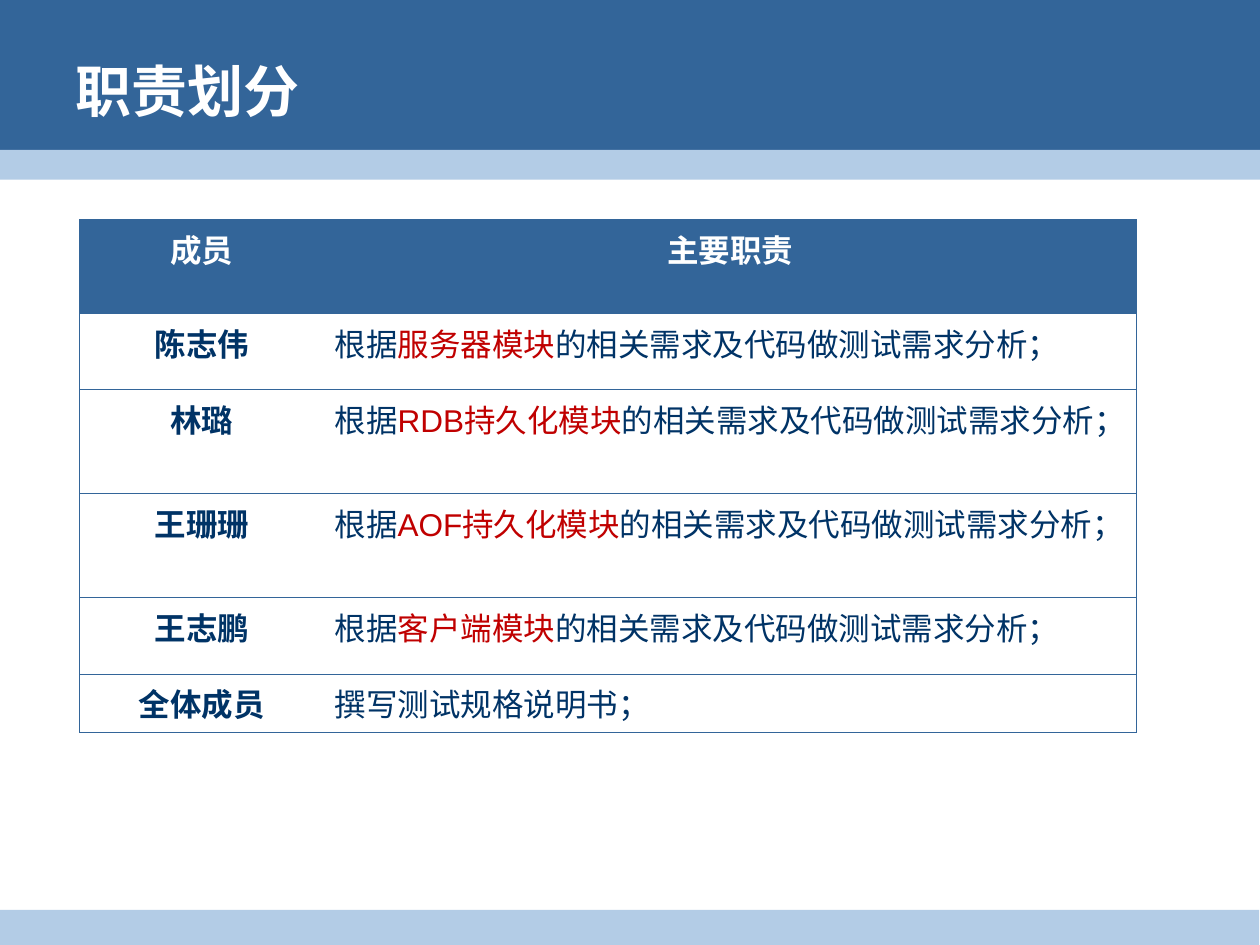
"""Build the slide that shows how duties are divided among the team members."""
import pptx
import pptx.dml.color
import pptx.enum.shapes
import pptx.enum.text
import pptx.oxml
import pptx.oxml.ns
import pptx.util

Pt = pptx.util.Pt
ALIGN = pptx.enum.text.PP_ALIGN
ANCHOR = pptx.enum.text.MSO_ANCHOR
COLOURS = {
    "banner": "336599",
    "stripe": "B3CCE6",
    "ink": "003366",
    "accent": "C00000",
    "white": "FFFFFF",
}
BARS = [
    (0, 0, 720, 94.5, "banner"),
    (0, 85.7, 720, 17, "stripe"),
    (0, 520, 719.5, 21.5, "stripe"),
]
COLUMN_WIDTHS = [139.8, 464.2]
ROW_HEIGHTS = [53.6, 43.7, 59.4, 59.4, 43.7, 33.2]
MODULES = [
    ("陈志伟", "服务器模块"),
    ("林璐", "RDB持久化模块"),
    ("王珊珊", "AOF持久化模块"),
    ("王志鹏", "客户端模块"),
]


def rgb(name):
    return pptx.dml.color.RGBColor.from_string(COLOURS[name])


def add_bar(page, left, top, width, height, colour):
    bar = page.shapes.add_shape(
        pptx.enum.shapes.MSO_SHAPE.RECTANGLE, Pt(left), Pt(top), Pt(width), Pt(height)
    )
    bar.shadow.inherit = False
    bar.fill.solid()
    bar.fill.fore_color.rgb = rgb(colour)
    bar.line.fill.background()


def add_span(para, text, size=18, colour="ink", bold=False):
    span = para.add_run()
    span.text = text
    span.font.name = "Arial"
    span.font.size = Pt(size)
    span.font.bold = bold
    span.font.color.rgb = rgb(colour)


def place_title(page, text):
    box = page.shapes.title
    box.element.getparent().append(box.element)
    box.left, box.top, box.width, box.height = Pt(36), Pt(12), Pt(648), Pt(79.2)
    box.text_frame.vertical_anchor = ANCHOR.MIDDLE
    para = box.text_frame.paragraphs[0]
    para.alignment = ALIGN.LEFT
    add_span(para, text, size=32, colour="white", bold=True)


def set_borders(cell, drawn):
    properties = cell._tc.get_or_add_tcPr()
    for side in "LRTB":
        if side in drawn:
            paint = f'<a:solidFill><a:srgbClr val="{COLOURS["banner"]}"/></a:solidFill>'
        else:
            paint = "<a:noFill/>"
        properties.append(pptx.oxml.parse_xml(
            f'<a:ln{side} {pptx.oxml.ns.nsdecls("a")} w="{Pt(0.23)}">{paint}</a:ln{side}>'
        ))


def keep_punctuation_inside(para):
    para._p.get_or_add_pPr().set("hangingPunct", "0")


def fill_cell(cell, spans, alignment, borders, header=False):
    cell.margin_left = cell.margin_right = Pt(6)
    cell.margin_top = cell.margin_bottom = Pt(3.6)
    cell.vertical_anchor = ANCHOR.TOP
    set_borders(cell, borders)
    if header:
        cell.fill.solid()
        cell.fill.fore_color.rgb = rgb("banner")
    else:
        cell.fill.background()
    para = cell.text_frame.paragraphs[0]
    para.alignment = alignment
    keep_punctuation_inside(para)
    for text, style in spans:
        add_span(para, text, **style)


def add_duty_table(page):
    frame = page.shapes.add_table(
        len(ROW_HEIGHTS), len(COLUMN_WIDTHS), Pt(45.4), Pt(125.4),
        Pt(sum(COLUMN_WIDTHS)), Pt(sum(ROW_HEIGHTS)),
    )
    table = frame.table
    table.first_row = table.horz_banding = False
    for column, width in zip(table.columns, COLUMN_WIDTHS):
        column.width = Pt(width)
    for row, height in zip(table.rows, ROW_HEIGHTS):
        row.height = Pt(height)

    heading = {"colour": "white", "bold": True}
    for column, (text, borders) in enumerate([("成员", "LTB"), ("主要职责", "RTB")]):
        fill_cell(table.cell(0, column), [(text, heading)], ALIGN.CENTER, borders, header=True)

    duties = [
        (member, [("根据", {}), (module, {"colour": "accent"}),
                  ("的相关需求及代码做测试需求分析；", {})])
        for member, module in MODULES
    ]
    duties.append(("全体成员", [("撰写测试规格说明书；", {})]))
    for row, (member, duty) in enumerate(duties, start=1):
        fill_cell(table.cell(row, 0), [(member, {"bold": True})], ALIGN.CENTER, "LTB")
        fill_cell(table.cell(row, 1), duty, ALIGN.JUSTIFY, "RTB")


def main():
    deck = pptx.Presentation()
    deck.slide_width, deck.slide_height = Pt(720), Pt(540)
    page = deck.slides.add_slide(deck.slide_layouts.get_by_name("Title Only"))
    for bar in BARS:
        add_bar(page, *bar)
    place_title(page, "职责划分")
    add_duty_table(page)
    deck.save("out.pptx")


if __name__ == "__main__":
    main()
